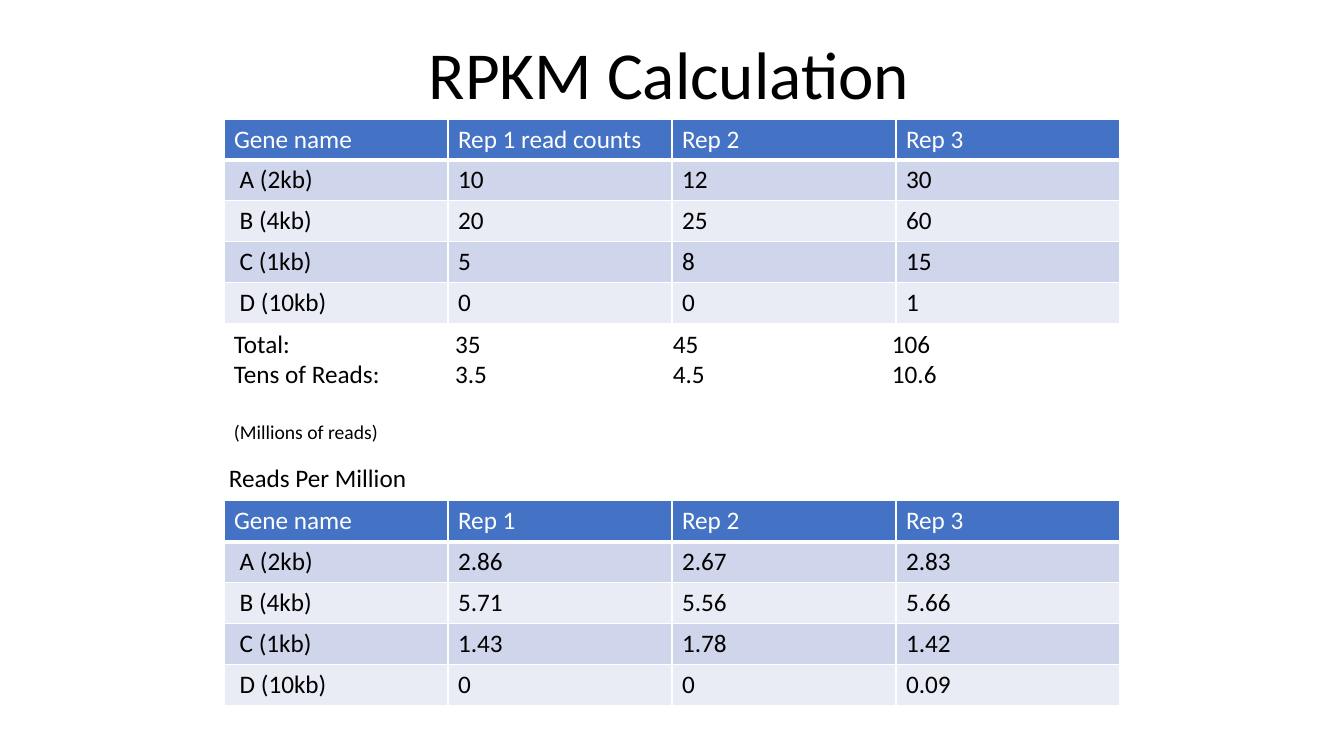
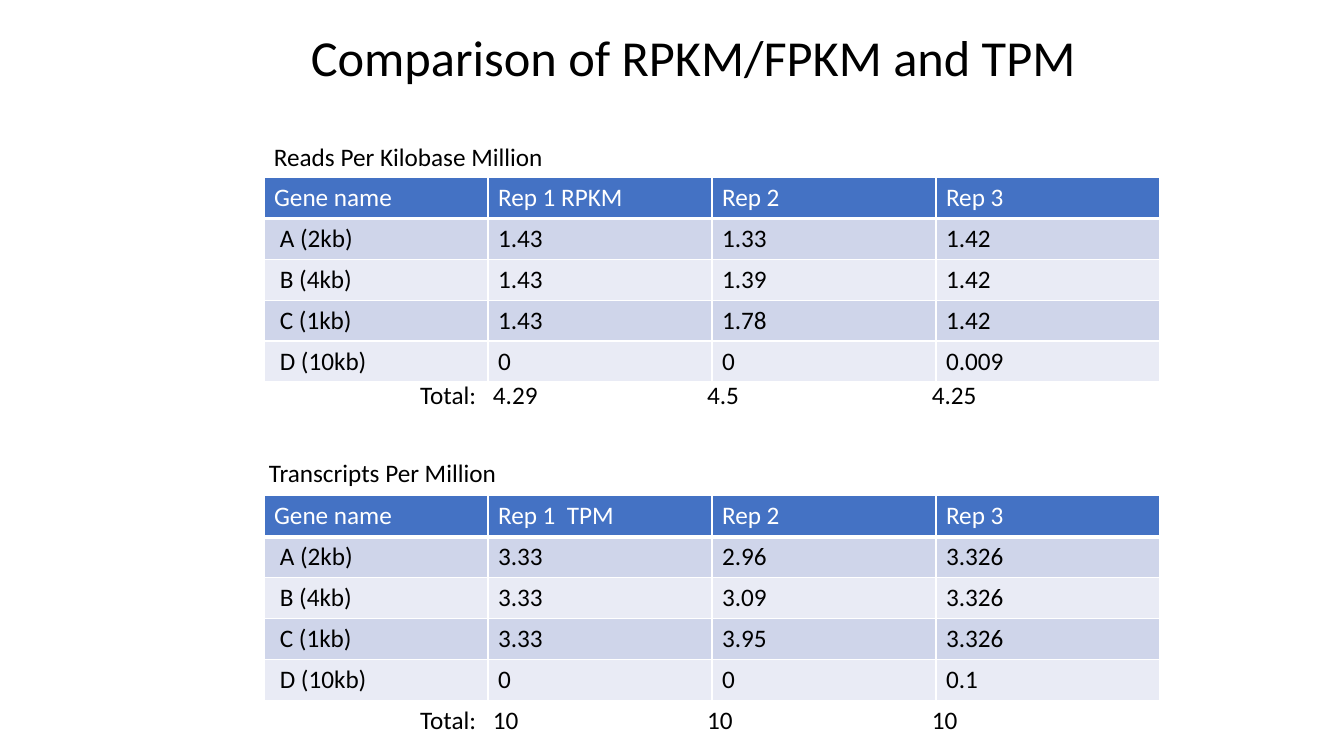
from lxml import etree
from pptx import Presentation
from pptx.dml.color import RGBColor
from pptx.enum.text import MSO_ANCHOR, MSO_AUTO_SIZE, PP_ALIGN
from pptx.oxml.ns import qn
from pptx.util import Pt

TOP = MSO_ANCHOR.TOP
NO_FIT = MSO_AUTO_SIZE.NONE
LEFT = PP_ALIGN.LEFT

FONT = "Calibri"
BLACK, WHITE = "000000", "FFFFFF"
HEADER_FILL = "4472C4"
BAND_FILLS = ["CFD5EA", "E9EBF5"]
BODY_SIZE = 18
COLUMN_WIDTH, ROW_HEIGHT = 160, 29.2
GENES = [" A (2kb)", " B (4kb)", " C (1kb)", " D (10kb)"]


def rgb(hex_code):
    return RGBColor.from_string(hex_code)


def write(paragraph, text, size=BODY_SIZE, color=BLACK):
    paragraph.alignment = LEFT
    run = paragraph.add_run()
    run.text = text
    run.font.name = FONT
    run.font.size = Pt(size)
    run.font.bold = False
    run.font.color.rgb = rgb(color)


slides = [
    {
        "title": ("RPKM Calculation", 48, (299, 19.4, 362, 66)),
        "tables": [
            (160, 85, ["Rep 1 read counts", "Rep 2", "Rep 3"],
             [["10", "12", "30"], ["20", "25", "60"], ["5", "8", "15"], ["0", "0", "1"]]),
            (160, 357.8, ["Rep 1", "Rep 2", "Rep 3"],
             [["2.86", "2.67", "2.83"], ["5.71", "5.56", "5.66"],
              ["1.43", "1.78", "1.42"], ["0", "0", "0.09"]]),
        ],
        "tabs": [158, 313.5, 470],
        "captions": [
            ((160, 231, 586, 90),
             [("Total:\t35\t45\t106", 18, 0),
              ("Tens of Reads:\t3.5\t4.5\t10.6", 18, 0),
              ("(Millions of reads)", 14, 22)]),
            ((156.4, 327, 143, 29), [("Reads Per Million", 18, 0)]),
        ],
    },
    {
        "title": ("Comparison of RPKM/FPKM and TPM", 36, (214.8, 15, 566, 51)),
        "tables": [
            (188.6, 126.8, ["Rep 1 RPKM", "Rep 2", "Rep 3"],
             [["1.43", "1.33", "1.42"], ["1.43", "1.39", "1.42"],
              ["1.43", "1.78", "1.42"], ["0", "0", "0.009"]]),
            (188.6, 354.2, ["Rep 1  TPM", "Rep 2", "Rep 3"],
             [["3.33", "2.96", "3.326"], ["3.33", "3.09", "3.326"],
              ["3.33", "3.95", "3.326"], ["0", "0", "0.1"]]),
        ],
        "tabs": [52, 205, 365.5],
        "captions": [
            ((188.6, 97.4, 209, 29), [("Reads Per Kilobase Million", 18, 0)]),
            ((293, 267.4, 425, 29), [("Total:\t4.29\t4.5\t4.25", 18, 0)]),
            ((185, 322.8, 183, 29), [("Transcripts Per Million", 18, 0)]),
            ((293, 499.6, 425, 29), [("Total:\t10\t10\t10", 18, 0)]),
        ],
    },
]

deck = Presentation()
deck.slide_width, deck.slide_height = Pt(960), Pt(540)
title_only = deck.slide_layouts[5]

for content in slides:
    slide = deck.slides.add_slide(title_only)

    heading, heading_size, heading_box = content["title"]
    title = slide.shapes.title
    title.left, title.top, title.width, title.height = map(Pt, heading_box)
    title.text_frame.auto_size = NO_FIT
    title.text_frame.vertical_anchor = TOP
    write(title.text_frame.paragraphs[0], heading, heading_size)

    for left, top, replicates, values in content["tables"]:
        rows = [["Gene name"] + replicates]
        rows += [[gene] + counts for gene, counts in zip(GENES, values)]
        table = slide.shapes.add_table(
            len(rows), len(rows[0]), Pt(left), Pt(top),
            Pt(COLUMN_WIDTH * len(rows[0])), Pt(ROW_HEIGHT * len(rows))).table
        for column in table.columns:
            column.width = Pt(COLUMN_WIDTH)
        for r, row in enumerate(rows):
            table.rows[r].height = Pt(ROW_HEIGHT)
            for c, entry in enumerate(row):
                cell = table.cell(r, c)
                cell.fill.solid()
                cell.fill.fore_color.rgb = rgb(BAND_FILLS[(r - 1) % 2] if r else HEADER_FILL)
                write(cell.text_frame.paragraphs[0], entry, color=BLACK if r else WHITE)
                edge_widths = {"lnL": 1, "lnR": 1, "lnT": 3 if r == 1 else 1,
                               "lnB": 1 if r else 3}
                for position, (edge, width) in enumerate(edge_widths.items()):
                    border = etree.Element(qn("a:" + edge), w=str(Pt(width)))
                    border_fill = etree.SubElement(border, qn("a:solidFill"))
                    etree.SubElement(border_fill, qn("a:srgbClr"), val=WHITE)
                    cell._tc.get_or_add_tcPr().insert(position, border)

    for box, lines in content["captions"]:
        frame = slide.shapes.add_textbox(*map(Pt, box)).text_frame
        frame.word_wrap = True
        for i, (text, size, gap) in enumerate(lines):
            paragraph = frame.add_paragraph() if i else frame.paragraphs[0]
            write(paragraph, text, size)
            paragraph.space_before = Pt(gap)
            if "\t" in text:
                stops = etree.SubElement(paragraph._p.get_or_add_pPr(), qn("a:tabLst"))
                for stop in content["tabs"]:
                    etree.SubElement(stops, qn("a:tab"), pos=str(Pt(stop)), algn="l")

deck.save("out.pptx")
